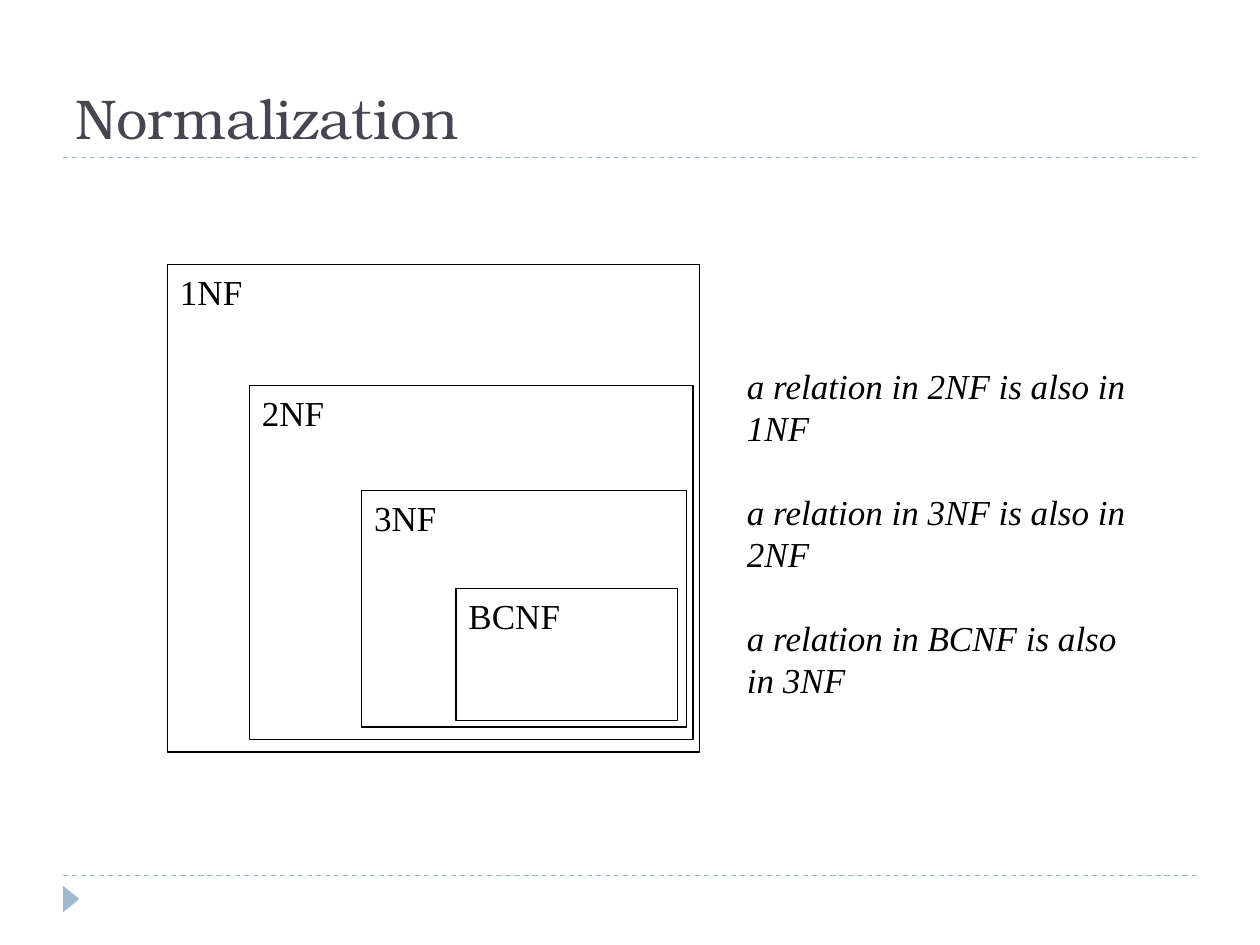
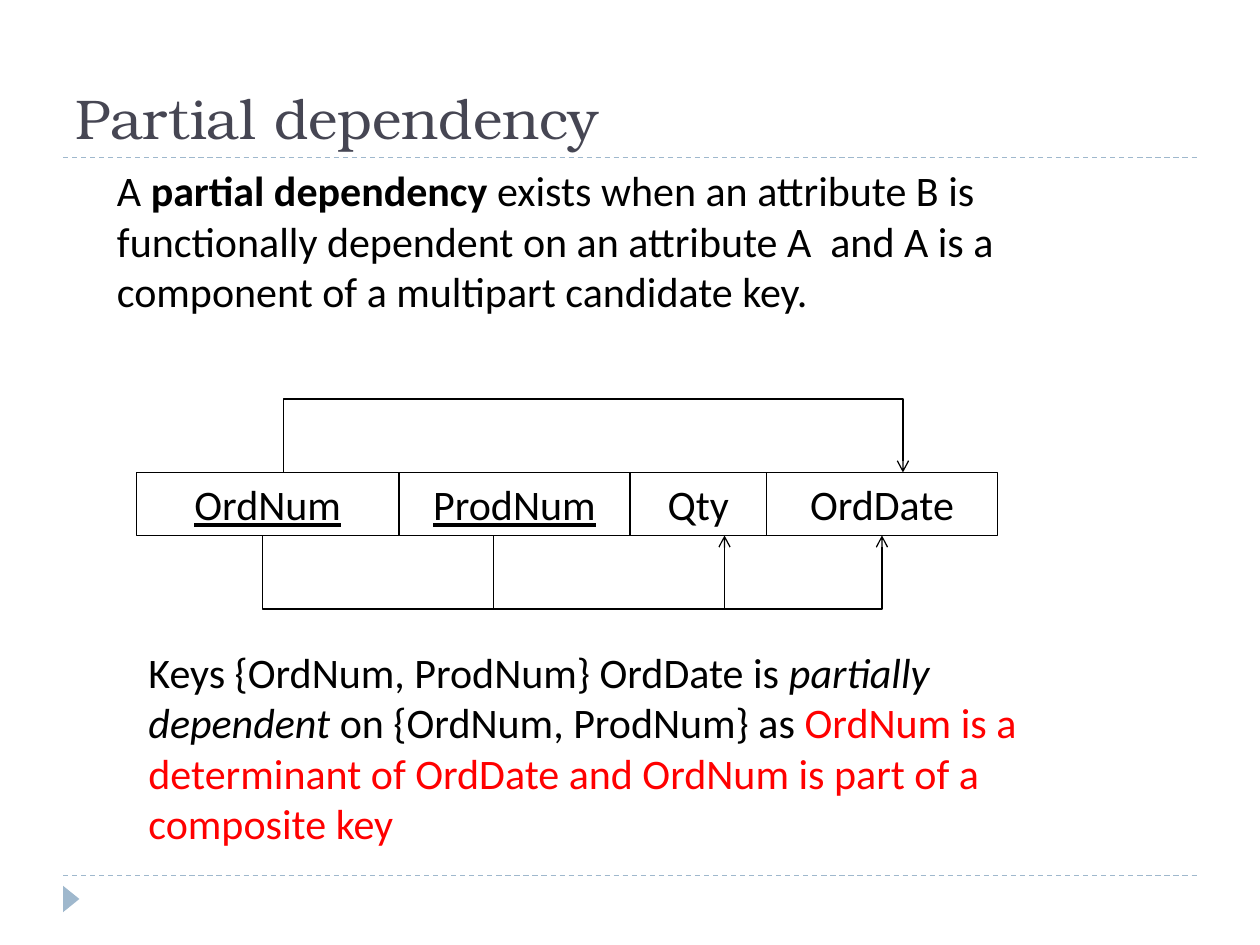
"""Build two slides on normal forms and partial dependency."""
from lxml.etree import SubElement
from pptx import Presentation
from pptx.dml.color import RGBColor
from pptx.enum.dml import MSO_LINE
from pptx.enum.shapes import MSO_CONNECTOR, MSO_SHAPE
from pptx.enum.text import MSO_ANCHOR, MSO_AUTO_SIZE, PP_ALIGN
from pptx.oxml.ns import qn
from pptx.util import Inches, Pt

INK = RGBColor(0x00, 0x00, 0x00)
RED = RGBColor(0xFF, 0x00, 0x00)
SLATE = RGBColor(0x46, 0x46, 0x53)
BLUE = RGBColor(0x9F, 0xB8, 0xCD)
SERIF, SANS, DISPLAY = "Times New Roman", "Calibri", "TeX Gyre Bonum"
TWELFTH = Inches(1) // 12


def outline(sp):
    sp.shadow.inherit = False
    sp.fill.background()
    sp.line.color.rgb = INK
    sp.line.width = Pt(0.75)


def set_font(p, name, size, color=INK):
    p.font.name = name
    p.font.size = Pt(size)
    p.font.color.rgb = color


prs = Presentation()
prs.slide_width, prs.slide_height = Inches(10), Inches(7.5)
layout = prs.slide_layouts[5]
for ph in list(layout.placeholders)[1:]:
    ph.element.getparent().remove(ph.element)
title = layout.placeholders[0]
title.left, title.top, title.width, title.height = [Inches(v) for v in (0.5, 0.25, 9, 1)]
title.text_frame.vertical_anchor = MSO_ANCHOR.BOTTOM
title.text_frame.auto_size = MSO_AUTO_SIZE.NONE

slides = []
for heading in ("Normalization", "Partial dependency"):
    s = prs.slides.add_slide(layout)
    s.shapes.title.text = heading
    p = s.shapes.title.text_frame.paragraphs[0]
    p.alignment = PP_ALIGN.LEFT
    set_font(p, DISPLAY, 32, SLATE)
    slides.append(s)
forms, partial = slides

decor = []
for y in (6.95, 1.25):
    rule = forms.shapes.add_connector(
        MSO_CONNECTOR.STRAIGHT, Inches(0.5), Inches(y), Inches(9.5), Inches(y))
    rule.line.color.rgb = BLUE
    rule.line.width = Pt(0.75)
    rule.line.dash_style = MSO_LINE.DASH
    SubElement(rule.element.spPr, qn("a:effectLst"))
    decor.append(rule)
marker = forms.shapes.add_shape(
    MSO_SHAPE.ISOSCELES_TRIANGLE, Inches(0.46), Inches(7.07), Inches(0.21), Inches(0.13))
marker.rotation = 90
marker.shadow.inherit = False
marker.fill.solid()
marker.fill.fore_color.rgb = BLUE
marker.line.fill.background()
decor.append(marker)
for sp in decor:
    layout.shapes.element.append(sp.element)

for name, *box in (("BCNF", 3.62, 4.67, 1.76, 1.05), ("3NF", 2.87, 3.89, 2.58, 1.88),
                   ("2NF", 1.98, 3.06, 3.52, 2.81), ("1NF", 1.33, 2.1, 4.22, 3.87)):
    sp = forms.shapes.add_shape(MSO_SHAPE.RECTANGLE, *[Inches(v) for v in box])
    outline(sp)
    tf = sp.text_frame
    tf.text = name
    tf.vertical_anchor = MSO_ANCHOR.TOP
    p = tf.paragraphs[0]
    p.alignment = PP_ALIGN.LEFT
    p.line_spacing = Pt(24)
    set_font(p, SERIF, 20)

tf = forms.shapes.add_textbox(Inches(5.83), Inches(2.17), Inches(3.25), Inches(3.65)).text_frame
tf.word_wrap = True
tf.margin_top = Inches(0.72)
tf.text = "\n".join(f"a relation in {inner} is also in {outer}" for inner, outer in
                    (("2NF", "1NF"), ("3NF", "2NF"), ("BCNF", "3NF")))
for p in tf.paragraphs:
    set_font(p, SERIF, 20)
    p.font.italic = True
    p.line_spacing = Pt(24)
    p.space_after = Pt(24)

for box, runs in (
    ((0.83, 1.26, 8.25, 1.31), (
        ("A ", ""), ("partial dependency", "bold"),
        (" exists when an attribute B is functionally dependent on an attribute A  and A is "
         "a component of a multipart candidate key.", ""))),
    ((1.08, 5.08, 7.58, 1.72), (
        ("Keys {OrdNum, ProdNum} OrdDate is ", ""), ("partially dependent", "italic"),
        (" on {OrdNum, ProdNum} as ", ""),
        ("OrdNum is a determinant of OrdDate and OrdNum is part of a composite key", "red"))),
):
    tf = partial.shapes.add_textbox(*[Inches(v) for v in box]).text_frame
    tf.word_wrap = True
    p = tf.paragraphs[0]
    set_font(p, SANS, 24)
    for text, style in runs:
        r = p.add_run()
        r.text = text
        if style == "bold":
            r.font.bold = True
        elif style == "italic":
            r.font.italic = True
        elif style == "red":
            r.font.color.rgb = RED

x, cell_top, cell_bottom = 13, 45, 51
for name, width, is_key in (("OrdNum", 25, True), ("ProdNum", 22, True),
                            ("Qty", 13, False), ("OrdDate", 22, False)):
    sp = partial.shapes.add_shape(
        MSO_SHAPE.RECTANGLE, x * TWELFTH, cell_top * TWELFTH,
        width * TWELFTH, (cell_bottom - cell_top) * TWELFTH)
    outline(sp)
    tf = sp.text_frame
    tf.text = name
    tf.vertical_anchor = MSO_ANCHOR.TOP
    p = tf.paragraphs[0]
    p.alignment = PP_ALIGN.CENTER
    set_font(p, SANS, 24)
    if is_key:
        p.font.underline = True
    x += width

for start, end, edge, bend in ((47, 69, cell_bottom, 58), (25, 84, cell_bottom, 58),
                               (27, 86, cell_top, 38)):
    path_builder = partial.shapes.build_freeform(start, edge, scale=TWELFTH)
    path_builder.add_line_segments([(start, bend), (end, bend), (end, edge)], close=False)
    arrow = path_builder.convert_to_shape()
    outline(arrow)
    SubElement(arrow.line._get_or_add_ln(), qn("a:tailEnd"), type="arrow")

prs.save("out.pptx")
